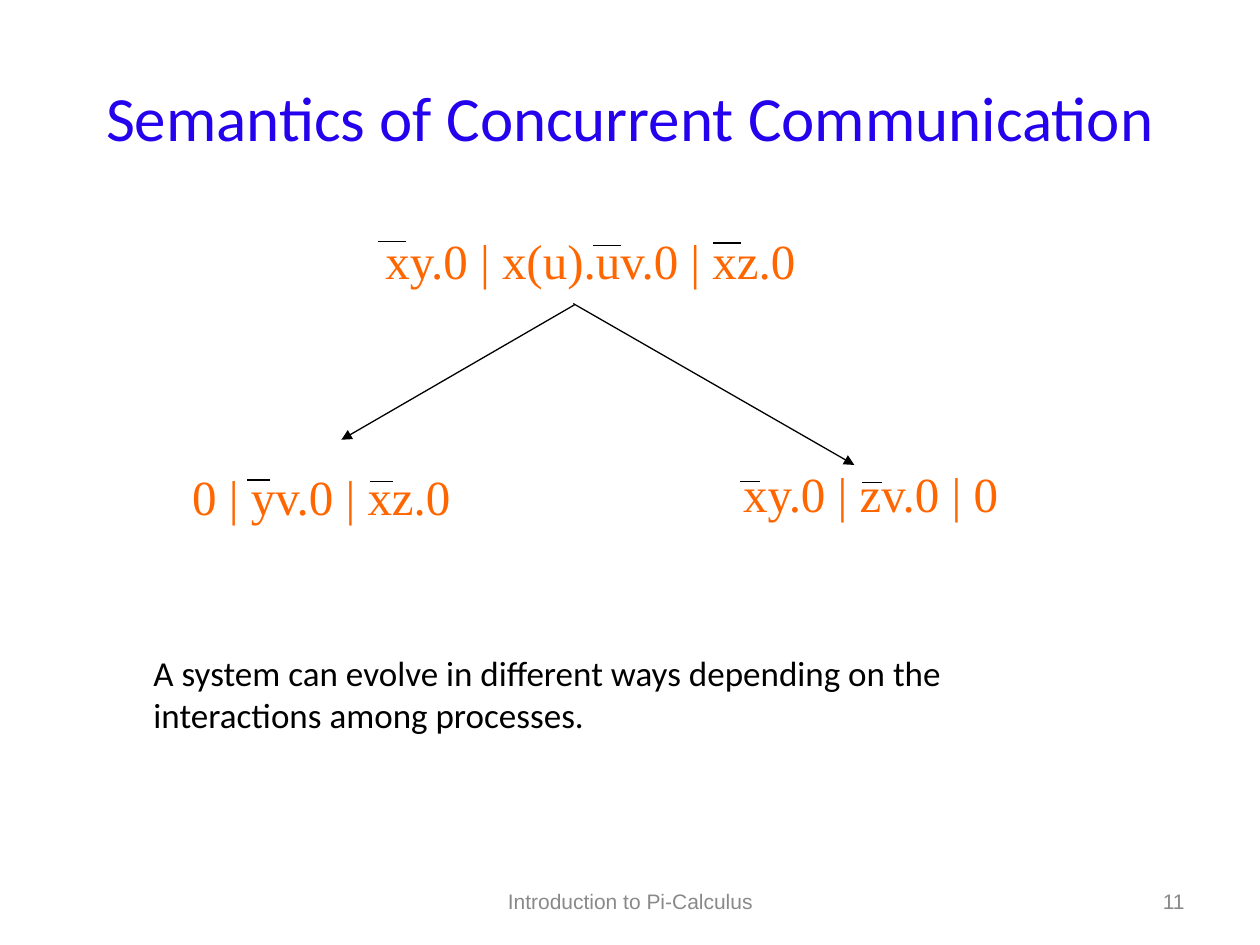
from dataclasses import dataclass

from lxml import etree
from pptx import Presentation
from pptx import util as u
from pptx.dml.color import RGBColor
from pptx.enum import shapes, text
from pptx.oxml.ns import qn

Pt = u.Pt
ALIGN = text.PP_ALIGN


@dataclass(frozen=True)
class Style:
    font: str
    size: float
    color: RGBColor


@dataclass(frozen=True)
class Theme:
    title: Style = Style("Calibri", 36, RGBColor(0x24, 0x02, 0xEE))
    process: Style = Style("Times New Roman", 28, RGBColor(0xFF, 0x66, 0x00))
    remark: Style = Style("Calibri", 20, RGBColor(0, 0, 0))
    footer: Style = Style("Arial", 12, RGBColor(0x89, 0x89, 0x89))
    line: RGBColor = RGBColor(0, 0, 0)
    line_width: float = 0.75


THEME = Theme()


def add_text(parent, wording, box, style, align=ALIGN.LEFT, wrap=True):
    frame = parent.add_textbox(*map(Pt, box)).text_frame
    frame.word_wrap = wrap
    frame.vertical_anchor = text.MSO_ANCHOR.MIDDLE
    paragraph = frame.paragraphs[0]
    paragraph.text = wording
    paragraph.alignment = align
    paragraph.font.name = style.font
    paragraph.font.size = Pt(style.size)
    paragraph.font.color.rgb = style.color


def add_line(parent, start, end, arrow=False):
    line = parent.add_connector(
        shapes.MSO_CONNECTOR.STRAIGHT, *map(Pt, (*start, *end)))
    line.line.color.rgb = THEME.line
    line.line.width = Pt(THEME.line_width)
    if arrow:
        etree.SubElement(line.line._get_or_add_ln(), qn("a:tailEnd"), type="triangle")
    etree.SubElement(line._element.spPr, qn("a:effectLst"))


def add_process(slide, term, box, overbar_width, overbars):
    """Group a process term with the bars over its output channels."""
    group = slide.shapes.add_group_shape().shapes
    add_text(group, term, box, THEME.process, ALIGN.CENTER, wrap=False)
    for x, y in overbars:
        add_line(group, (x, y), (x + overbar_width, y))


def main():
    prs = Presentation()
    prs.slide_width, prs.slide_height = Pt(720), Pt(540)
    slide = prs.slides.add_slide(prs.slide_layouts[6])

    add_text(slide.shapes, "Semantics of Concurrent Communication",
             (36, 21.6, 648, 90), THEME.title, ALIGN.CENTER)

    add_process(slide, "xy.0 | x(u).uv.0 | xz.0", (211, 128.2, 252.7, 41),
                15.8, [(216, 138.2), (339.1, 140.4), (407.5, 138.9)])
    add_process(slide, "0 | yv.0 | xz.0", (101.5, 262.8, 164.2, 41),
                13, [(141.1, 274.3), (211.7, 275)])
    add_process(slide, "xy.0 | zv.0 | 0", (415.4, 261.4, 164.2, 41),
                11.5, [(422.6, 275), (492.5, 275.8)])

    add_line(slide.shapes, (328.3, 174.2), (195.1, 251.3), arrow=True)
    add_line(slide.shapes, (327.6, 173.5), (488.2, 265.7), arrow=True)

    add_text(slide.shapes,
             "A system can evolve in different ways depending on the "
             "interactions among processes.",
             (80.6, 368.6, 538.6, 55.4), THEME.remark)

    add_text(slide.shapes, "Introduction to Pi-Calculus",
             (246.2, 500.4, 228.2, 28.8), THEME.footer, ALIGN.CENTER)
    add_text(slide.shapes, "11", (516.2, 500.4, 167.8, 28.8),
             THEME.footer, ALIGN.RIGHT)

    prs.save("out.pptx")


if __name__ == "__main__":
    main()
